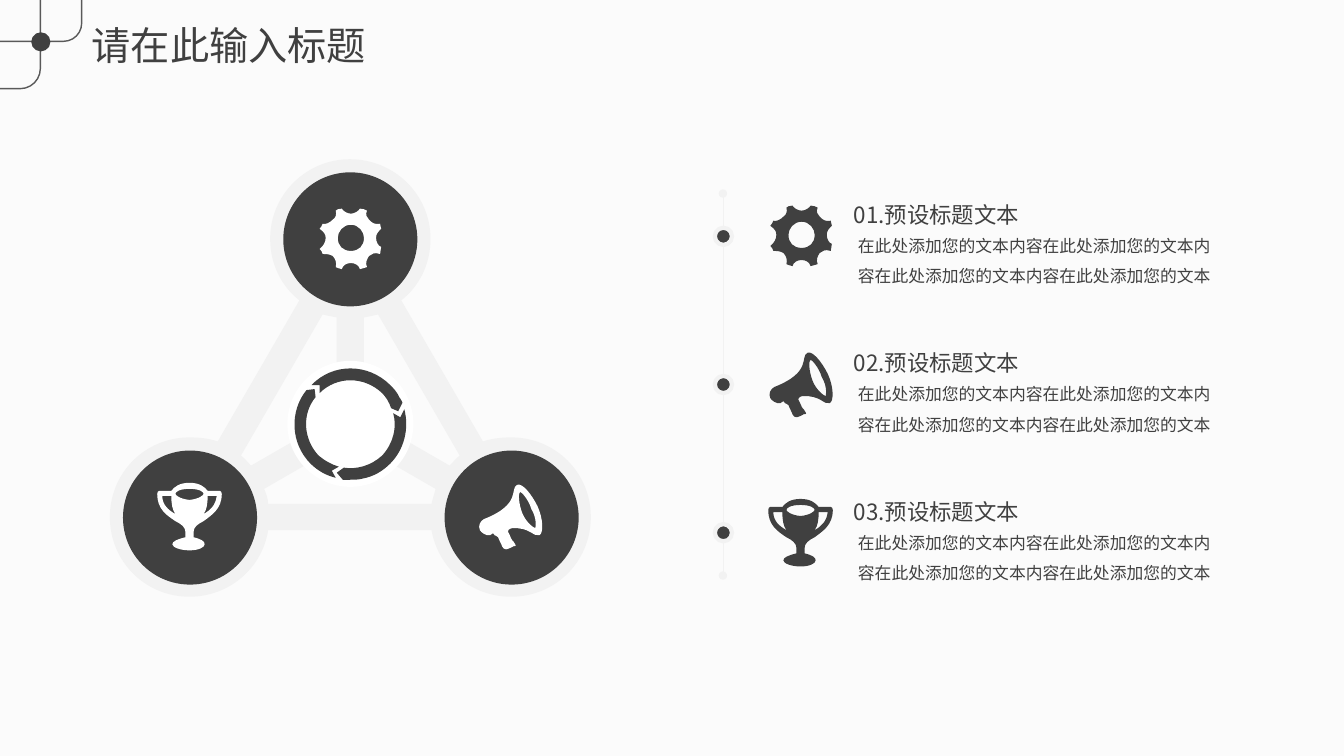
"""Draw a three-node cycle slide with a numbered timeline of texts."""
from typing import Any, NamedTuple, Optional

from pptx import Presentation
from pptx import util as u
from pptx.dml.color import RGBColor
from pptx.enum import shapes, text
from pptx.oxml.ns import qn

COLS, ROWS = 1333, 750
CELL = u.Inches(0.01)
DARK = RGBColor(0x40, 0x40, 0x40)
EDGE = RGBColor(0x59, 0x59, 0x59)
PALE = RGBColor(0xF2, 0xF2, 0xF2)
WHITE = RGBColor(0xFF, 0xFF, 0xFF)
PAPER = RGBColor(0xFB, 0xFB, 0xFB)
FONT = "Noto Sans CJK SC"
PITCH = 147.5
RAIL = 717
BODY = "在此处添加您的文本内容" * 3 + "在此处添加您的文本"

GEAR = [
    "56 29, 56 25 58 23 61 20, 61 19 60 16 60 15, 54 16 52 14 49 11, 47 9 45 6 47 2,"
    "45 1 43 0 40 0, 39 2 35 5 31 5, 27 5 23 2 22 0, 19 0 17 1 16 2, 17 6 16 9 13 11,"
    "10 14 6 16 3 15, 3 16 1 19 0 20, 4 23 6 25 6 29, 6 33 4 37 0 40, 1 41 3 43 3 45,"
    "6 45 10 45 13 47, 16 50 17 54 16 58, 17 59 19 59 22 60, 23 56 27 54 31 54,"
    "35 54 39 56 40 60, 43 59 45 59 47 58, 45 54 47 50 49 47, 52 45 54 43 60 45,"
    "60 42 61 41 61 38, 58 37 56 33 56 29",
    "31 42, 23 42 18 37 18 29, 18 23 23 16 31 16, 39 16 44 23 44 29, 44 37 39 42 31 42",
]
HORN = [
    "59 23, 53 11 44 0 39 2, 31 6 44 21 6 36, 2 38 0 43 2 47, 3 49 8 53 12 52, 15 50,"
    "17 54 20 52 20 54, 21 57 24 62 24 63, 25 64 26 67 28 66, 29 66 34 64 35 63,"
    "38 63 38 62 37 61, 37 59 34 58 34 57, 33 56 31 50 30 49, 29 48 31 45 34 45,"
    "52 44 55 54 61 52, 65 50 65 36 59 23",
    "57 45, 56 45 48 40 44 30, 40 20 40 9 42 9, 43 9 50 16 53 26, 59 36 57 44 57 45",
]
CUP = [
    "36 49, 36 44 40 41 46 38, 54 32 64 26 64 11, 64 9 63 8 62 8, 50 8, 47 4 42 0 32 0,"
    "22 0 17 4 14 8, 2 8, 1 8 0 9 0 11, 0 26 9 32 18 38, 24 41 28 44 28 49, 28 54,"
    "20 56 15 58 15 61, 15 64 23 67 32 67, 41 67 47 64 47 61, 47 58 44 56 36 54",
    "46 31, 49 27 50 21 50 13, 59 13, 58 22 53 27 46 31",
    "32 6, 42 6 46 9 46 11, 46 12 42 16 32 17, 22 16 18 12 18 11, 18 9 22 6 32 6",
    "5 13, 14 13, 14 21 15 27 18 31, 11 27 5 22 5 13",
]
FRAME = [
    "507 434, 497 434 488 435 479 438, 398 298, 416 284 427 262 427 237,"
    "427 193 391 158 347 158, 304 158 268 193 268 237, 268 262 279 284 297 298, 216 438,"
    "207 435 198 434 188 434, 144 434 109 469 109 513, 109 557 144 592 188 592,"
    "227 592 260 564 266 526, 428 526, 435 564 467 592 507 592, 551 592 586 557 586 513,"
    "586 469 551 434 507 434",
    "239 452, 320 312, 324 313 329 314 334 315, 334 413, 249 462, 246 459 243 455 239 452",
    "428 500, 266 500, 266 495 264 490 262 485, 347 436, 432 485, 431 490 429 495 428 500",
    "446 462, 361 413, 361 315, 366 314 371 313 375 312, 456 452, 452 455 449 459 446 462",
]
ARROWS = [
    ["341 464, 354 466 368 462 379 452, 390 440 394 424 390 410, 397 414, 401 406,"
     "406 425 401 446 387 460, 379 468 370 473 359 475, 355 476 351 476 347 476,"
     "346 476 343 476 341 476, 340 476, 334 469"],
    ["388 405, 386 399 383 394 379 390, 361 373 334 373 317 390, 317 382, 309 382,"
     "330 360 365 360 387 382, 390 385 394 389 396 394, 397 395 398 397 399 399,"
     "399 400, 395 408"],
    ["313 394, 299 411 301 436 316 452, 322 457 329 461 336 463, 329 467, 333 474,"
     "324 472 315 467 308 460, 288 440 287 408 304 387, 312 386"],
]


class Box(NamedTuple):
    """A rectangle in grid columns and rows."""
    x: float
    y: float
    w: float
    h: float

    def emu(self) -> list[int]:
        """Return the four lengths in drawing units."""
        return [round(n * CELL) for n in self]


class Node(NamedTuple):
    """A dark disc with its icon's offset and outline."""
    x: float
    y: float
    dx: float
    dy: float
    icon: list[str]


class Item(NamedTuple):
    """A timeline entry."""
    head: str
    icon: list[str]
    x: float
    y: float


class Link(NamedTuple):
    """A rail segment with an optional round end."""
    top: float
    low: float
    end: Optional[str] = None


NODES = [Node(441, 447, 33, 32, HORN), Node(281, 171, 36, 36, GEAR), Node(122, 447, 34, 32, CUP)]
ITEMS = [Item("01.预设标题文本", GEAR, 764, 204), Item("02.预设标题文本", HORN, 762, 348),
         Item("03.预设标题文本", CUP, 762, 495)]
LINKS = [Link(243, 373), Link(390, 520), Link(537, 571, "tailEnd"), Link(192, 226, "headEnd")]


def apply(obj: Any, vals: dict[str, Any]) -> None:
    """Set each named attribute."""
    for key, val in vals.items():
        setattr(obj, key, val)


def paint(shape: Any, fill: Optional[RGBColor], line: Optional[RGBColor] = None,
          width: float = 1) -> None:
    """Give a shape its fill and line."""
    shape.shadow.inherit = False
    if fill is None:
        shape.fill.background()
    else:
        shape.fill.solid()
        shape.fill.fore_color.rgb = fill
    if line is None:
        shape.line.fill.background()
    else:
        shape.line.color.rgb = line
        shape.line.width = u.Pt(width)


def disc(tree: Any, box: Box, fill: RGBColor, **line: Any) -> None:
    """Draw a circle."""
    paint(tree.add_shape(shapes.MSO_SHAPE.OVAL, *box.emu()), fill, **line)


def trace(ring: str, x: float, y: float) -> list[list[tuple[int, int]]]:
    """Read a chain of steps: one point for a line, three for a curve."""
    steps = []
    for step in ring.split(","):
        nums = [int(n) for n in step.split()]
        steps.append([(round((px + x) * CELL), round((py + y) * CELL))
                      for px, py in zip(nums[::2], nums[1::2])])
    return steps


def outline(tree: Any, rings: list[str], fill: RGBColor, x: float = 0, y: float = 0) -> None:
    """Draw a filled curved outline, with any later rings as holes."""
    form = None
    sizes: list[int] = []
    for ring in rings:
        (start,), *steps = trace(ring, x, y)
        if form is None:
            form = tree.build_freeform(*start)
        else:
            form.move_to(*start)
        form.add_line_segments([point for step in steps for point in step])
        sizes += [len(step) for step in steps]
    shape = form.convert_to_shape()
    lines = iter(list(shape._element.iter(qn("a:lnTo"))))
    for size in sizes:
        group = [next(lines) for _ in range(size)]
        if size == 3:
            curve = group[0].makeelement(qn("a:cubicBezTo"), {})
            group[0].addprevious(curve)
            for line in group:
                curve.append(line[0])
                line.getparent().remove(line)
    paint(shape, fill)


def write(shape: Any, box: Box, words: str, size: float, frame: dict[str, Any],
          para: dict[str, Any]) -> None:
    """Place and format one paragraph."""
    apply(shape, dict(zip(("left", "top", "width", "height"), box.emu())))
    body = shape.text_frame
    apply(body, {"word_wrap": True, "auto_size": text.MSO_AUTO_SIZE.SHAPE_TO_FIT_TEXT, **frame})
    line = body.paragraphs[0]
    apply(line, para)
    run = line.add_run()
    run.text = words
    apply(run.font, {"size": u.Pt(size), "name": FONT})
    run.font.color.rgb = DARK
    latin = run.font._element.get_or_add_latin()
    latin.addnext(latin.makeelement(qn("a:ea"), {"typeface": FONT}))


def join(tree: Any, link: Link) -> None:
    """Draw a rail segment."""
    ends = Box(RAIL, link.top, RAIL, link.low).emu()
    rail = tree.add_connector(shapes.MSO_CONNECTOR.STRAIGHT, *ends)
    rail.line.color.rgb = PALE
    rail.line.width = u.Pt(0.5)
    prop = rail._element.spPr
    if link.end:
        mark = prop.find(qn("a:ln"))
        mark.append(mark.makeelement(qn(f"a:{link.end}"), {"type": "oval"}))
    prop.append(prop.makeelement(qn("a:effectLst"), {}))


def main() -> None:
    """Build and save the slide."""
    deck = Presentation()
    apply(deck, {"slide_width": COLS * CELL, "slide_height": ROWS * CELL})
    slide = deck.slides.add_slide(deck.slide_layouts[5])
    slide.background.fill.solid()
    slide.background.fill.fore_color.rgb = PAPER
    tree = slide.shapes
    for box, bend in ((Box(-137, -45, 177, 133), 0.15), (Box(-64, -37, 145, 78), 0.23)):
        loop = tree.add_shape(shapes.MSO_SHAPE.ROUNDED_RECTANGLE, *box.emu())
        loop.adjustments[0] = bend
        paint(loop, None, EDGE)
    disc(tree, Box(31, 32, 19, 19), DARK)
    top = {"vertical_anchor": text.MSO_ANCHOR.TOP}
    write(tree.title, Box(81, 16, 310, 57), "请在此输入标题", 28, top,
          {"alignment": text.PP_ALIGN.JUSTIFY})
    pad = {f"margin_{side}": 13 * CELL for side in ("left", "right")}
    pad |= {f"margin_{side}": 7 * CELL for side in ("top", "bottom")}
    pad["vertical_anchor"] = text.MSO_ANCHOR.MIDDLE
    for link in LINKS:
        join(tree, link)
    for i, item in enumerate(ITEMS):
        down = i * PITCH
        write(tree.add_textbox(0, 0, 0, 0), Box(838, 219 + down, 387, 69), BODY, 12, pad,
              {"line_spacing": 1.5})
        write(tree.add_textbox(0, 0, 0, 0), Box(837, 189 + down, 387, 38), item.head, 16, top,
              {"line_spacing": 1.2})
        outline(tree, item.icon, DARK, item.x, item.y)
        disc(tree, Box(RAIL - 8, 226 + i * 147, 17, 17), DARK, line=PALE, width=3)
    outline(tree, FRAME, PALE)
    disc(tree, Box(285, 358, 125, 125), WHITE)
    for node in NODES:
        disc(tree, Box(node.x, node.y, 133, 133), DARK)
        outline(tree, node.icon, WHITE, node.x + node.dx, node.y + node.dy)
    for arrow in ARROWS:
        outline(tree, arrow, DARK)
    deck.save("out.pptx")


if __name__ == "__main__":
    main()
